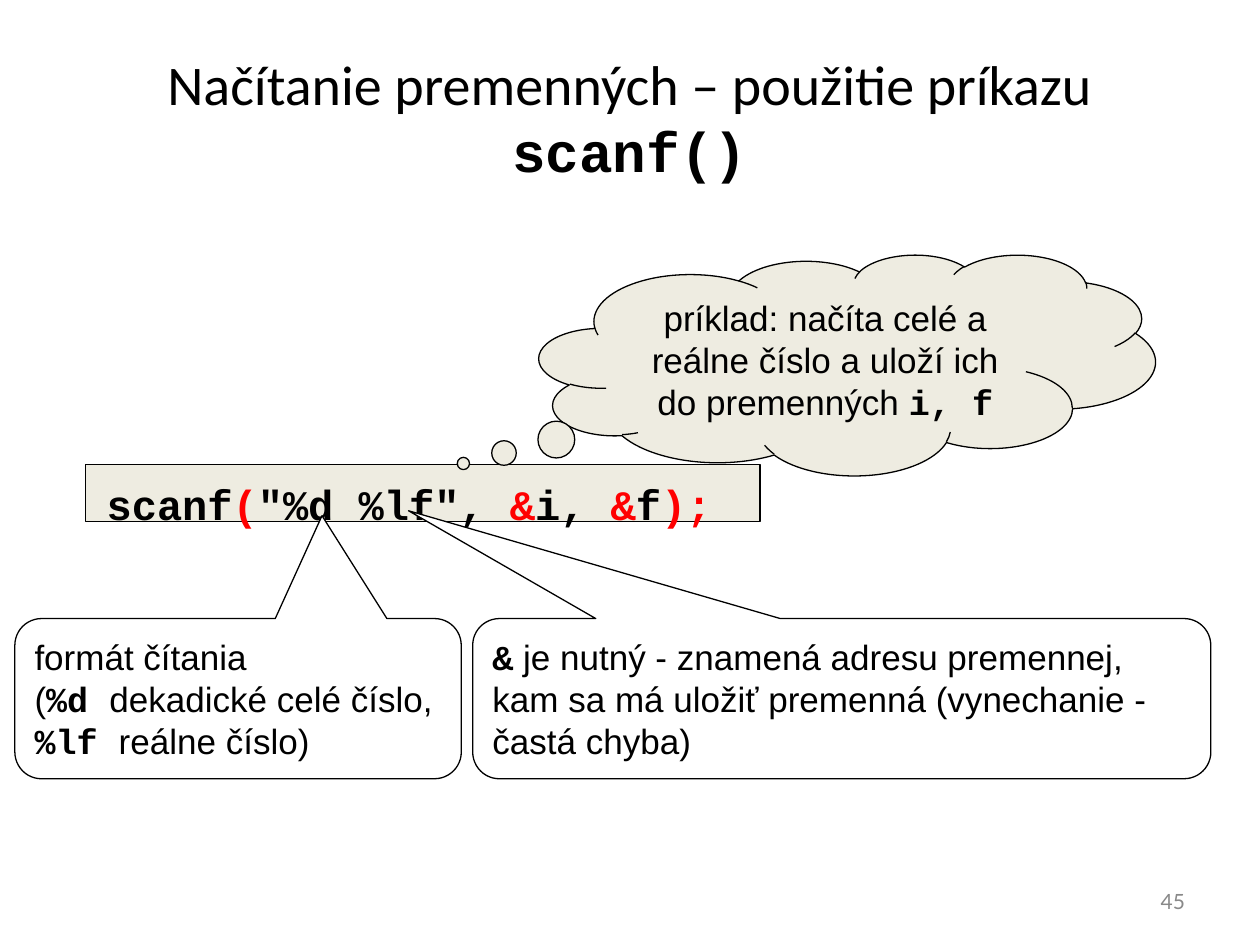
from pptx import Presentation
from pptx.dml.color import RGBColor
from pptx.enum.shapes import MSO_SHAPE as Shape
from pptx.enum.text import MSO_ANCHOR as Anchor, PP_ALIGN as Align
from pptx.util import Cm, Pt

BLACK = RGBColor(0x00, 0x00, 0x00)
WHITE = RGBColor(0xFF, 0xFF, 0xFF)
RED = RGBColor(0xFF, 0x00, 0x00)
BEIGE = RGBColor(0xEE, 0xEC, 0xE1)
GRAY = RGBColor(0x89, 0x89, 0x89)
CODE_FONT = "Courier New"


def plain(text, font="Arial", color=BLACK):
    return text, font, False, color


def code(text, color=BLACK):
    return text, CODE_FONT, True, color


def write(shape, paragraphs, size, align=Align.LEFT, anchor=Anchor.MIDDLE, top_inset=0.13):
    """Fill a shape with paragraphs, each a list of (text, font, bold, color)."""
    frame = shape.text_frame
    frame.word_wrap = True
    frame.vertical_anchor = anchor
    frame.margin_left = frame.margin_right = Cm(0.24)
    frame.margin_top, frame.margin_bottom = Cm(top_inset), Cm(0.13)
    for index, pieces in enumerate(paragraphs):
        paragraph = frame.paragraphs[0] if index == 0 else frame.add_paragraph()
        paragraph.alignment = align
        for text, font, bold, color in pieces:
            run = paragraph.add_run()
            run.text = text
            run.font.name = font
            run.font.size = Pt(size)
            run.font.bold = bold
            run.font.color.rgb = color


def add_text(slide, box, paragraphs, size, **options):
    text_box = slide.shapes.add_textbox(*map(Cm, box))
    write(text_box, paragraphs, size, **options)


def add_outlined(slide, kind, box, fill, adjustments=()):
    shape = slide.shapes.add_shape(kind, *map(Cm, box))
    shape.shadow.inherit = False
    shape.fill.solid()
    shape.fill.fore_color.rgb = fill
    shape.line.color.rgb = BLACK
    shape.line.width = Pt(0.75)
    for index, value in enumerate(adjustments):
        shape.adjustments[index] = value
    return shape


def add_title(slide, box):
    pieces = [plain("Načítanie premenných – použitie príkazu ", "Calibri"), code("scanf()")]
    add_text(slide, box, [pieces], 32, align=Align.CENTER)


def add_code_line(slide, box):
    left, top, width, height = box
    add_outlined(slide, Shape.RECTANGLE, box, BEIGE)
    pieces = [code("scanf"), code("(", RED), code('"%d %lf", '), code("&", RED),
              code("i, "), code("&", RED), code("f"), code(");", RED)]
    add_text(slide, (left + 0.18, top + 0.03, width - 0.18, height + 0.1), [pieces], 24,
             anchor=Anchor.TOP, top_inset=0.25)


def add_example_cloud(slide, box):
    cloud = add_outlined(slide, Shape.CLOUD_CALLOUT, box, BEIGE, (-0.623, 0.447))
    pieces = [plain("príklad: načíta celé a reálne číslo a uloží ich do premenných "),
              code("i, f")]
    write(cloud, [pieces], 20, Align.CENTER)


def add_callout(slide, box, tip, paragraphs):
    """Add a rounded callout whose tail ends at tip, relative to its centre."""
    callout = add_outlined(slide, Shape.ROUNDED_RECTANGULAR_CALLOUT, box, WHITE, (*tip, 0.167))
    write(callout, paragraphs, 20)


def add_explanations(slide, box):
    left, top, width, height = box
    format_width, gap = 9, 0.23
    add_callout(slide, (left, top, format_width, height), (0.188, -1.142), [
        [plain("formát čítania")],
        [plain("("), code("%d "), plain("dekadické celé číslo, "),
         code("%lf "), plain("reálne číslo)")],
    ])
    offset = format_width + gap
    add_callout(slide, (left + offset, top, width - offset, height), (-0.587, -1.173), [
        [code("&"), plain(" je nutný - znamená adresu premennej, kam sa má uložiť "
                          "premenná (vynechanie - častá chyba)")],
    ])


def add_page_number(slide, box):
    add_text(slide, box, [[plain("45", "Lato", GRAY)]], 12, align=Align.RIGHT)


def main():
    presentation = Presentation()
    presentation.slide_width, presentation.slide_height = Cm(25.4), Cm(19.05)
    slide = presentation.slides.add_slide(presentation.slide_layouts[6])
    add_title(slide, (1.27, 0.76, 22.86, 3.18))
    add_code_line(slide, (1.73, 9.37, 13.59, 1.14))
    add_example_cloud(slide, (10.87, 5.13, 12.42, 4.45))
    add_explanations(slide, (0.3, 12.47, 24.11, 3.23))
    add_page_number(slide, (18.21, 17.65, 5.92, 1.02))
    presentation.save("out.pptx")


if __name__ == "__main__":
    main()
